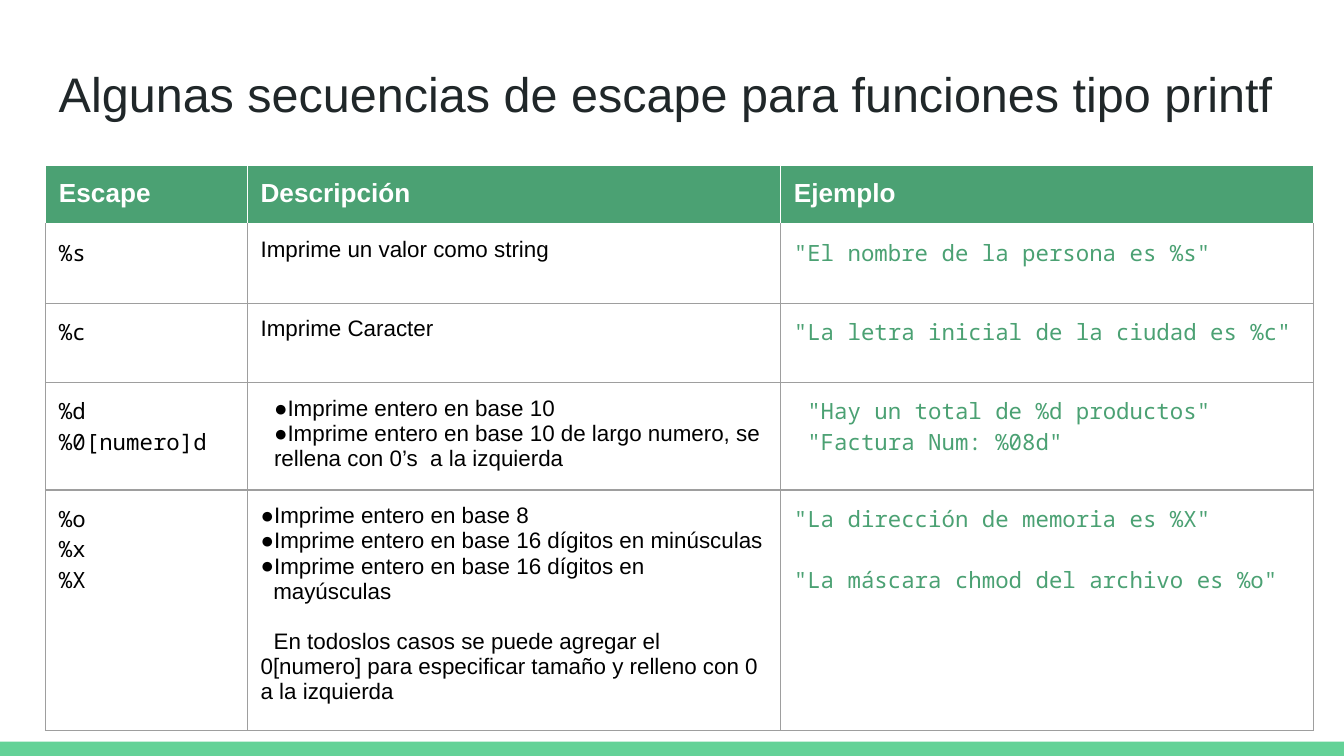
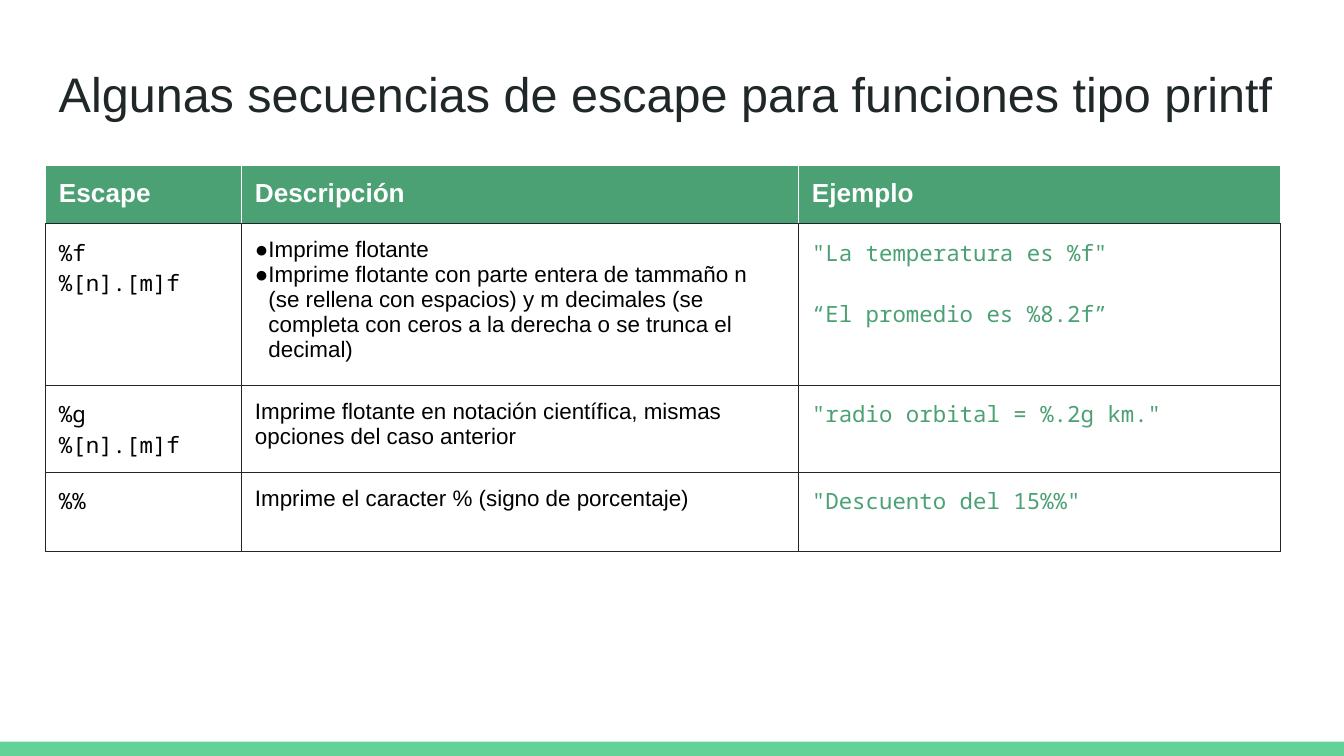
from dataclasses import dataclass

from lxml.etree import SubElement
from pptx import Presentation
from pptx.dml.color import RGBColor
from pptx.enum.shapes import MSO_SHAPE as Shape
from pptx.oxml.ns import qn
from pptx.slide import Slide
from pptx.table import _Cell as Cell
from pptx.text.text import _Paragraph as Paragraph
from pptx.util import Pt

BAND, HEADER, INK = "63D297", "4BA173", "202729"
WHITE, BLACK, GREY = "FFFFFF", "000000", "9E9E9E"
SANS, MONO = "Arial", "Noto Sans Mono"
SLIDE_WIDTH, SLIDE_HEIGHT = 720, 405
LEFT, TITLE_TOP, TITLE_HEIGHT, TABLE_TOP = 24.4, 27.3, 45.4, 88.7
BAND_HEIGHT, INSET, WIDE_INSET = 7.6, 7.2, 14.4
HEADER_HEIGHT, ROW_HEIGHT = 29.5, 42.5
BORDER_WIDTH = 0.75
SANS_GAP, MONO_GAP = 13.4, 16.3
TITLE = "Algunas secuencias de escape para funciones tipo printf"
HEADINGS = ("Escape", "Descripción", "Ejemplo")


@dataclass(frozen=True)
class TextStyle:
    """Font of a piece of text."""
    size: float
    name: str
    color: str
    bold: bool = False


@dataclass(frozen=True)
class Line:
    """One paragraph with its indents and the gap above it."""
    text: str
    left: float = 0
    indent: float = 0
    bullet: bool = False
    before: float = 0


@dataclass(frozen=True)
class Row:
    """One escape sequence with its description and example."""
    escapes: list[Line]
    description: list[Line]
    example: list[Line]
    height: float = ROW_HEIGHT
    inset: float = INSET


@dataclass(frozen=True)
class EscapeTable:
    """Column widths, border colours and rows of one slide's table."""
    widths: tuple[float, ...]
    border: str
    header_bottom: str
    rows: list[Row]


TITLE_STYLE = TextStyle(26, SANS, INK)
HEADING_STYLE = TextStyle(14, SANS, WHITE, True)
COLUMN_STYLES = (
    TextStyle(12, MONO, BLACK),
    TextStyle(12, SANS, BLACK),
    TextStyle(12, MONO, HEADER),
)


def plain(*texts: str) -> list[Line]:
    """Return lines without indents."""
    return [Line(text) for text in texts]


def bullets(*texts: str, left: float = 6.8) -> list[Line]:
    """Return bulleted lines."""
    return [Line(text, left, -13, True) for text in texts]


def hanging(*texts: str) -> list[Line]:
    """Return hanging lines set one line apart."""
    return [Line(text, 6.5, -6.5, before=MONO_GAP if index else 0)
            for index, text in enumerate(texts)]


TABLES = (
    EscapeTable((108, 285.7, 285.7), GREY, WHITE, [
        Row(plain("%s"), plain("Imprime un valor como string"),
            plain('"El nombre de la persona es %s"')),
        Row(plain("%c"), plain("Imprime Caracter"),
            plain('"La letra inicial de la ciudad es %c"')),
        Row(plain("%d", "%0[numero]d"),
            bullets("Imprime entero en base 10",
                    "Imprime entero en base 10 de largo numero, se rellena "
                    "con 0’s  a la izquierda", left=0),
            [Line('"Hay un total de %d productos"', 0, -7.2),
             Line('"Factura Num: %08d"', 0, -7.2)],
            height=54.8, inset=WIDE_INSET),
        Row(plain("%o", "%x", "%X"),
            bullets("Imprime entero en base 8",
                    "Imprime entero en base 16 dígitos en minúsculas",
                    "Imprime entero en base 16 dígitos en mayúsculas")
            + [Line("En todoslos casos se puede agregar el 0[numero] para "
                    "especificar tamaño y relleno con 0 a la izquierda",
                    0, 7, before=SANS_GAP)],
            hanging('"La dirección de memoria es %X"',
                    '"La máscara chmod del archivo es %o"'),
            height=121.6),
    ]),
    EscapeTable((105, 298.4, 258.4), INK, INK, [
        Row(plain("%f", "%[n].[m]f"),
            bullets("Imprime flotante",
                    "Imprime flotante con parte entera de tammaño n (se "
                    "rellena con espacios) y m decimales (se completa con "
                    "ceros a la derecha o se trunca el decimal)", left=7.2),
            hanging('"La temperatura es %f"', "“El promedio es %8.2f”"),
            height=81.6),
        Row(plain("%g", "%[n].[m]f"),
            plain("Imprime flotante en notación científica, mismas opciones "
                  "del caso anterior"),
            hanging('"radio orbital = %.2g km."'), height=46.8),
        Row(plain("%%"), plain("Imprime el caracter % (signo de porcentaje)"),
            hanging('"Descuento del 15%%"')),
    ]),
)


def rgb(value: str) -> RGBColor:
    """Turn a hex string into a colour."""
    return RGBColor.from_string(value)


def set_formats(target: object, formats: dict[str, object]) -> None:
    """Set every attribute named in the formats."""
    for name, value in formats.items():
        setattr(target, name, value)


def write_line(paragraph: Paragraph, line: Line, style: TextStyle) -> None:
    """Write one styled line into a paragraph."""
    if line.before:
        paragraph.space_before = Pt(line.before)
    properties = paragraph._p.get_or_add_pPr()
    properties.set("marL", str(Pt(line.left)))
    properties.set("indent", str(Pt(line.indent)))
    size = str(style.size * 100)
    if line.bullet:
        color = SubElement(properties, qn("a:buClr"))
        SubElement(color, qn("a:srgbClr"), val=BLACK)
        SubElement(properties, qn("a:buSzPts"), val=size)
        SubElement(properties, qn("a:buFont"), typeface=style.name)
        SubElement(properties, qn("a:buChar"), char="●")
    run = paragraph.add_run()
    run.text = line.text
    set_formats(run.font, {"size": Pt(style.size), "name": style.name,
                           "bold": style.bold})
    run.font.color.rgb = rgb(style.color)
    ending = SubElement(paragraph._p, qn("a:endParaRPr"), sz=size)
    SubElement(ending, qn("a:latin"), typeface=style.name)


def write_lines(frame: object, lines: list[Line], style: TextStyle) -> None:
    """Fill a text frame with lines."""
    for index, line in enumerate(lines):
        paragraph = frame.add_paragraph() if index else frame.paragraphs[0]
        write_line(paragraph, line, style)


def set_borders(cell: Cell, side: str, top: str, bottom: str) -> None:
    """Draw the four borders of a cell."""
    properties = cell._tc.get_or_add_tcPr()
    colors = {"a:lnL": side, "a:lnR": side, "a:lnT": top, "a:lnB": bottom}
    for tag, color in colors.items():
        border = SubElement(properties, qn(tag), w=str(Pt(BORDER_WIDTH)))
        fill = SubElement(border, qn("a:solidFill"))
        SubElement(fill, qn("a:srgbClr"), val=color)


def set_insets(target: object, left: float = INSET) -> None:
    """Set the inner margins of a cell or text frame."""
    set_formats(target, {"margin_left": Pt(left), "margin_top": Pt(INSET),
                         "margin_right": Pt(INSET),
                         "margin_bottom": Pt(INSET)})


def add_band(slide: Slide) -> None:
    """Draw the band along the bottom edge."""
    shape = slide.shapes.add_shape(
        Shape.RECTANGLE, 0, Pt(SLIDE_HEIGHT - BAND_HEIGHT),
        Pt(SLIDE_WIDTH), Pt(BAND_HEIGHT))
    shape.shadow.inherit = False
    shape.fill.solid()
    shape.fill.fore_color.rgb = rgb(BAND)
    shape.line.fill.background()


def add_title(slide: Slide) -> None:
    """Write the slide title."""
    shape = slide.shapes.add_textbox(
        Pt(LEFT), Pt(TITLE_TOP), Pt(SLIDE_WIDTH - 2 * LEFT), Pt(TITLE_HEIGHT))
    shape.text_frame.word_wrap = True
    set_insets(shape.text_frame)
    write_lines(shape.text_frame, plain(TITLE), TITLE_STYLE)


def add_escape_table(slide: Slide, content: EscapeTable) -> None:
    """Draw the table of escape sequences."""
    heights = [HEADER_HEIGHT] + [row.height for row in content.rows]
    table = slide.shapes.add_table(
        len(heights), len(HEADINGS), Pt(LEFT), Pt(TABLE_TOP),
        Pt(sum(content.widths)), Pt(sum(heights))).table
    set_formats(table, {"first_row": False, "horz_banding": False})
    for column, width in zip(table.columns, content.widths):
        column.width = Pt(width)
    for table_row, height in zip(table.rows, heights):
        table_row.height = Pt(height)
    for index, heading in enumerate(HEADINGS):
        cell = table.cell(0, index)
        set_insets(cell)
        set_borders(cell, WHITE, WHITE, content.header_bottom)
        cell.fill.solid()
        cell.fill.fore_color.rgb = rgb(HEADER)
        write_lines(cell.text_frame, plain(heading), HEADING_STYLE)
    for number, row in enumerate(content.rows, 1):
        top = content.header_bottom if number == 1 else content.border
        columns = (row.escapes, row.description, row.example)
        for index, (lines, style) in enumerate(zip(columns, COLUMN_STYLES)):
            cell = table.cell(number, index)
            set_insets(cell, row.inset if index else INSET)
            set_borders(cell, content.border, top, content.border)
            cell.fill.background()
            write_lines(cell.text_frame, lines, style)


def main() -> None:
    """Build and save the presentation."""
    presentation = Presentation()
    set_formats(presentation, {"slide_width": Pt(SLIDE_WIDTH),
                               "slide_height": Pt(SLIDE_HEIGHT)})
    for content in TABLES:
        slide = presentation.slides.add_slide(presentation.slide_layouts[6])
        add_band(slide)
        add_title(slide)
        add_escape_table(slide, content)
    presentation.save("out.pptx")


if __name__ == "__main__":
    main()
